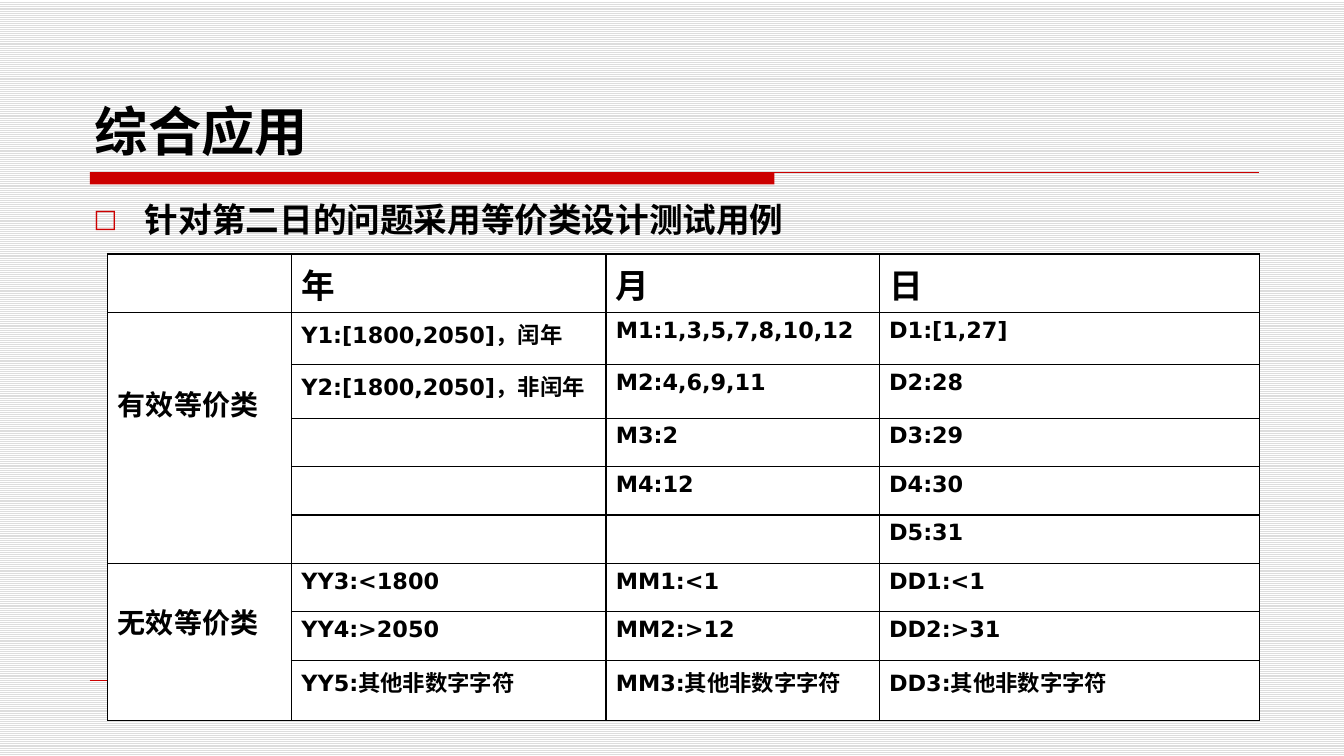
from dataclasses import dataclass

from lxml.etree import SubElement
from pptx import Presentation
from pptx.dml.color import RGBColor
from pptx.enum.dml import MSO_PATTERN
from pptx.enum.shapes import MSO_CONNECTOR, MSO_SHAPE
from pptx.enum.text import MSO_ANCHOR, PP_ALIGN
from pptx.oxml.ns import qn
from pptx.util import Inches, Pt


@dataclass(frozen=True)
class Theme:
    red: RGBColor = RGBColor(0xCC, 0, 0)
    black: RGBColor = RGBColor(0, 0, 0)
    white: RGBColor = RGBColor(0xFF, 0xFF, 0xFF)
    stripe: RGBColor = RGBColor(0xDD, 0xDD, 0xDD)
    font: str = "DejaVu Sans"
    cjk_font: str = "Noto Sans CJK SC"
    title: int = 38
    heading: int = 24
    group: int = 20
    entry: int = 16
    border: float = 1


@dataclass(frozen=True)
class Rule:
    """A horizontal red line; lengths in inches, weight in points."""
    left: float
    right: float
    y: float
    weight: float


@dataclass(frozen=True)
class Group:
    """A label merged over several rows, with its top margin in inches."""
    label: str
    top: float
    rows: list[tuple[str, str, str]]


THEME = Theme()
RULES = [Rule(0.89, 12.49, 1.71, 0.75), Rule(0.89, 12.45, 6.75, 0.25)]
HEADINGS = ["", "年", "月", "日"]
GROUPS = [
    Group("有效等价类", 0.7, [
        ("Y1:[1800,2050]，闰年", "M1:1,3,5,7,8,10,12", "D1:[1,27]"),
        ("Y2:[1800,2050]，非闰年", "M2:4,6,9,11", "D2:28"),
        ("", "M3:2", "D3:29"),
        ("", "M4:12", "D4:30"),
        ("", "", "D5:31"),
    ]),
    Group("无效等价类", 0.37, [
        ("YY3:<1800", "MM1:<1", "DD1:<1"),
        ("YY4:>2050", "MM2:>12", "DD2:>31"),
        ("YY5:其他非数字字符", "MM3:其他非数字字符", "DD3:其他非数字字符"),
    ]),
]
COL_WIDTHS = [1.82, 3.12, 2.71, 3.77]
ROW_HEIGHTS = [0.58, 0.52, 0.53] + [0.48] * 5 + [0.6]


def write(p, text: str, size: float, font: str = THEME.font) -> None:
    r = p.add_run()
    r.text = text
    for name, value in {"name": font, "size": Pt(size), "bold": True}.items():
        setattr(r.font, name, value)
    r.font.color.rgb = THEME.black
    SubElement(r.font._element, qn("a:ea"), typeface=THEME.cjk_font)


def add_rule(s, rule: Rule) -> None:
    line = s.shapes.add_connector(
        MSO_CONNECTOR.STRAIGHT, Inches(rule.left), Inches(rule.y),
        Inches(rule.right), Inches(rule.y))
    line.line.color.rgb = THEME.red
    line.line.width = Pt(rule.weight)
    SubElement(line._element.spPr, qn("a:effectLst"))


def add_bar(s) -> None:
    bar = s.shapes.add_shape(MSO_SHAPE.RECTANGLE, Inches(0.89), Inches(1.71),
                             Inches(6.79), Inches(0.12))
    bar.shadow.inherit = False
    bar.fill.solid()
    bar.fill.fore_color.rgb = THEME.red
    bar.line.fill.background()


def set_title(s, text: str) -> None:
    title = s.shapes.title
    place = {"left": 0.84, "top": 0.33, "width": 11.67, "height": 1.33}
    for name, value in place.items():
        setattr(title, name, Inches(value))
    tf = title.text_frame
    tf.vertical_anchor = MSO_ANCHOR.BOTTOM
    p = tf.paragraphs[0]
    p.alignment = PP_ALIGN.LEFT
    write(p, text, THEME.title, THEME.cjk_font)


def add_bullet(s, text: str) -> None:
    box = s.shapes.add_textbox(Inches(0.83), Inches(1.92), Inches(11.67), Inches(0.6))
    tf = box.text_frame
    tf.word_wrap = True
    p = tf.paragraphs[0]
    p.space_before = Pt(THEME.heading * 0.2)
    pPr = p._p.get_or_add_pPr()
    pPr.set("marL", str(Inches(0.51)))
    pPr.set("indent", str(Inches(-0.51)))
    SubElement(SubElement(pPr, qn("a:buClr")), qn("a:srgbClr"), val=str(THEME.red))
    SubElement(pPr, qn("a:buSzPct"), val="75000")
    SubElement(pPr, qn("a:buFont"), typeface=THEME.font)
    SubElement(pPr, qn("a:buChar"), char="□")
    write(p, text, THEME.heading)


def style_cell(cell) -> None:
    """Draw a border on all sides, then fill the cell."""
    tcPr = cell._tc.get_or_add_tcPr()
    for side in ("lnL", "lnR", "lnT", "lnB"):
        ln = SubElement(tcPr, qn(f"a:{side}"), w=str(Pt(THEME.border)))
        fill = SubElement(ln, qn("a:solidFill"))
        SubElement(fill, qn("a:srgbClr"), val=str(THEME.black))
    cell.fill.solid()
    cell.fill.fore_color.rgb = THEME.white


def fill_cell(cell, text: str, size: float) -> None:
    if text:
        write(cell.text_frame.paragraphs[0], text, size)


def add_class_table(s) -> None:
    table = s.shapes.add_table(
        len(ROW_HEIGHTS), len(COL_WIDTHS), Inches(1.07), Inches(2.52),
        Inches(sum(COL_WIDTHS)), Inches(sum(ROW_HEIGHTS))).table
    table.first_row = table.horz_banding = False
    for col, width in zip(table.columns, COL_WIDTHS):
        col.width = Inches(width)
    for row, height in zip(table.rows, ROW_HEIGHTS):
        row.height = Inches(height)
    for cell in table.iter_cells():
        style_cell(cell)

    for c, heading in enumerate(HEADINGS):
        fill_cell(table.cell(0, c), heading, THEME.heading)
    first = 1
    for group in GROUPS:
        label = table.cell(first, 0)
        label.merge(table.cell(first + len(group.rows) - 1, 0))
        label.margin_top = Inches(group.top)
        fill_cell(label, group.label, THEME.group)
        for r, entries in enumerate(group.rows, first):
            for c, entry in enumerate(entries, 1):
                fill_cell(table.cell(r, c), entry, THEME.entry)
        first += len(group.rows)


def main() -> None:
    prs = Presentation()
    prs.slide_width, prs.slide_height = Inches(13.33), Inches(7.5)
    s = prs.slides.add_slide(prs.slide_layouts[5])
    background = s.background.fill
    background.patterned()
    background.pattern = MSO_PATTERN.LIGHT_HORIZONTAL
    background.fore_color.rgb = THEME.stripe
    background.back_color.rgb = THEME.white

    add_bar(s)
    for rule in RULES:
        add_rule(s, rule)
    set_title(s, "综合应用")
    add_bullet(s, "针对第二日的问题采用等价类设计测试用例")
    add_class_table(s)
    prs.save("out.pptx")


if __name__ == "__main__":
    main()
